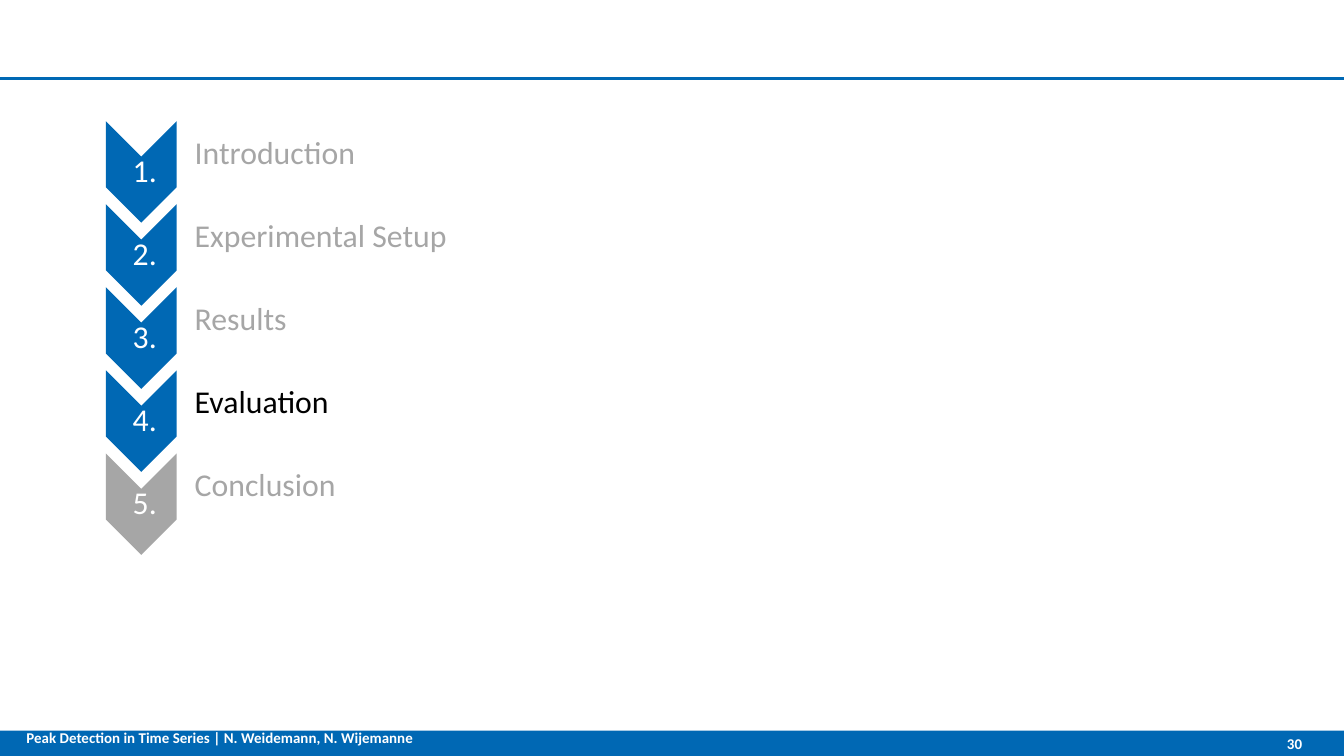
import pptx
import pptx.util
import pptx.dml.color
import pptx.enum.shapes
import pptx.enum.text
import lxml.etree

Cm = pptx.util.Cm
SHAPE = pptx.enum.shapes.MSO_SHAPE
ALIGN = pptx.enum.text.PP_ALIGN
ANCHOR = pptx.enum.text.MSO_ANCHOR
BLUE, GREY, WHITE, BLACK = "0068B4", "A6A6A6", "FFFFFF", "000000"


def rgb(value):
    return pptx.dml.color.RGBColor.from_string(value)


def add_text(s, text, box, size, color, insets, align=ALIGN.LEFT,
             anchor=ANCHOR.MIDDLE, bold=False, spacing=1.0):
    tf = s.shapes.add_textbox(*[Cm(v) for v in box]).text_frame
    tf.word_wrap = True
    tf.vertical_anchor = anchor
    tf.margin_left, tf.margin_top, tf.margin_right, tf.margin_bottom = [Cm(v) for v in insets]
    p = tf.paragraphs[0]
    p.text = text
    p.alignment = align
    p.line_spacing = spacing
    p.font.name = "Calibri"
    p.font.size = pptx.util.Pt(size)
    p.font.bold = bold
    p.font.color.rgb = rgb(color)


prs = pptx.Presentation()
prs.slide_width = Cm(25.4)
prs.slide_height = Cm(14.29)
s = prs.slides.add_slide(prs.slide_layouts[6])

bar = s.shapes.add_shape(SHAPE.RECTANGLE, Cm(0), Cm(13.81), Cm(25.4), Cm(0.48))
bar.shadow.inherit = False
bar.fill.solid()
bar.fill.fore_color.rgb = rgb(BLUE)
bar.line.fill.background()

sections = [
    ("Introduction", BLUE, GREY),
    ("Experimental Setup", BLUE, GREY),
    ("Results", BLUE, GREY),
    ("Evaluation", BLUE, BLACK),
    ("Conclusion", GREY, GREY),
]
for i, (title, fill, color) in enumerate(sections):
    y = 2.3 + 1.57 * i
    chevron = s.shapes.add_shape(SHAPE.CHEVRON, Cm(1.71), Cm(y + 0.28), Cm(1.92), Cm(1.34))
    chevron.rotation = 90
    chevron.shadow.inherit = False
    chevron.fill.solid()
    chevron.fill.fore_color.rgb = rgb(fill)
    chevron.line.fill.background()
    add_text(s, f" {i + 1}.", (2, y + 0.67, 1.34, 0.58), 17, WHITE,
             (0.03, 0.03, 0.03, 0.03), ALIGN.CENTER, spacing=0.9)
    add_text(s, title, (3.35, y + 0.06, 20, 1.12), 17, color,
             (0.33, 0.03, 0.03, 0.03), spacing=0.9)

rule = s.shapes.add_connector(pptx.enum.shapes.MSO_CONNECTOR.STRAIGHT,
                              Cm(25.4), Cm(1.49), Cm(0), Cm(1.49))
rule.line.color.rgb = rgb(BLUE)
rule.line.width = pptx.util.Pt(1.5)
lxml.etree.SubElement(rule._element.spPr, pptx.oxml.ns.qn("a:effectLst"))

add_text(s, "Peak Detection in Time Series | N. Weidemann, N. Wijemanne",
         (0.25, 13.61, 11.02, 0.86), 8, WHITE, (0.25, 0.25, 0.25, 0.25),
         anchor=ANCHOR.TOP, bold=True)
add_text(s, "30", (22.22, 13.81, 2.39, 0.48), 8, WHITE, (0.25, 0.13, 0, 0.13),
         ALIGN.RIGHT, bold=True)

prs.save("out.pptx")
